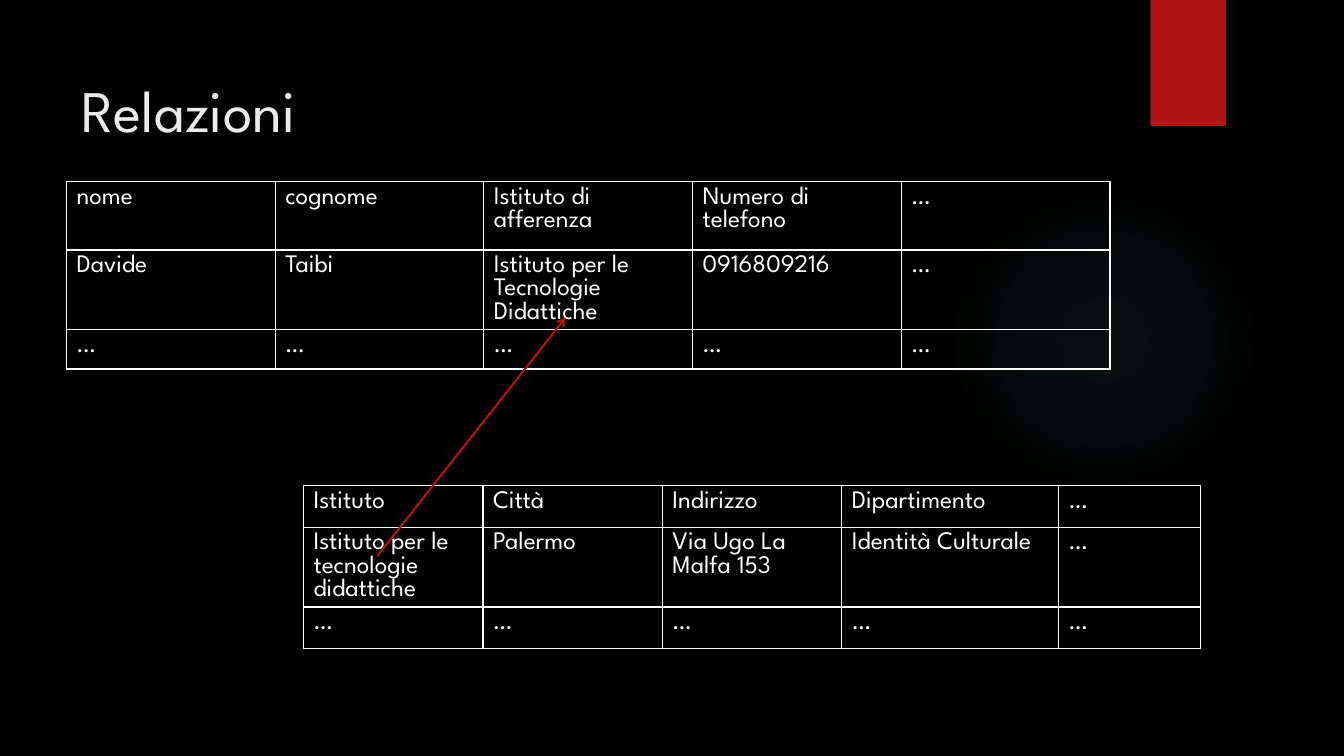
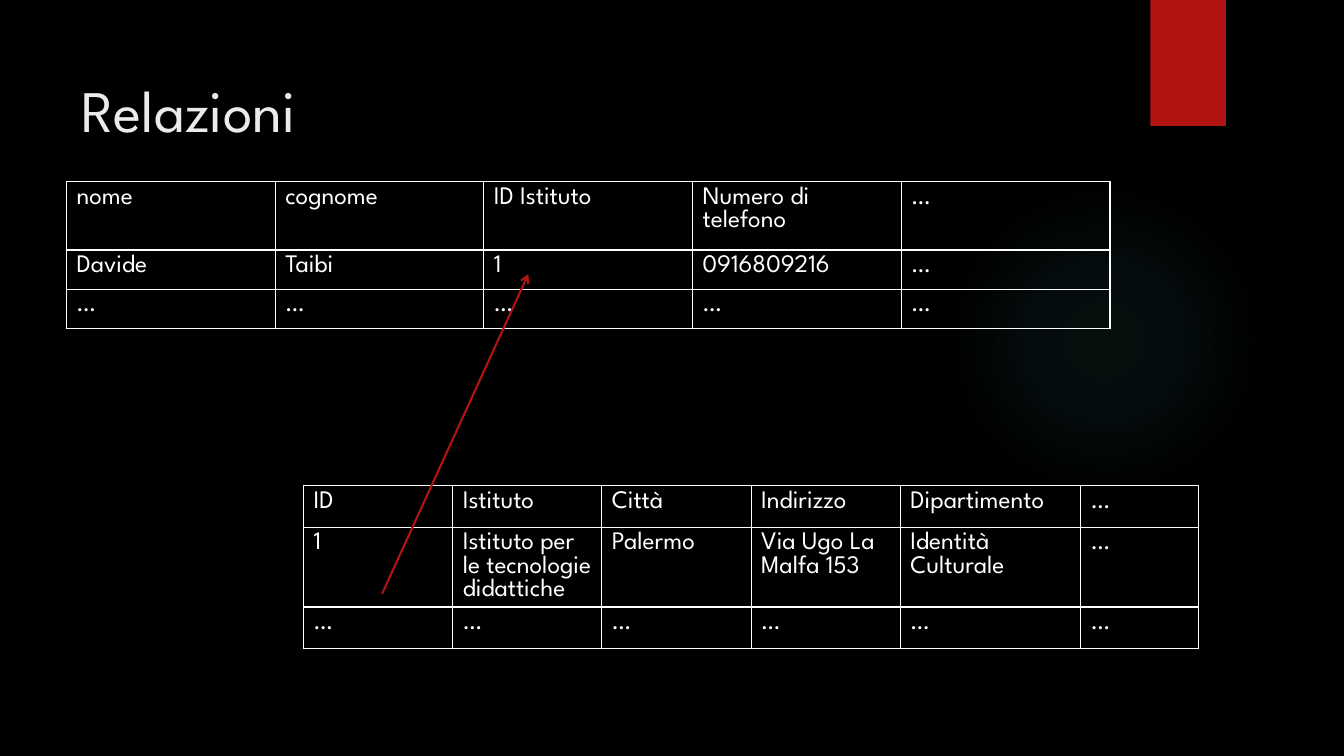
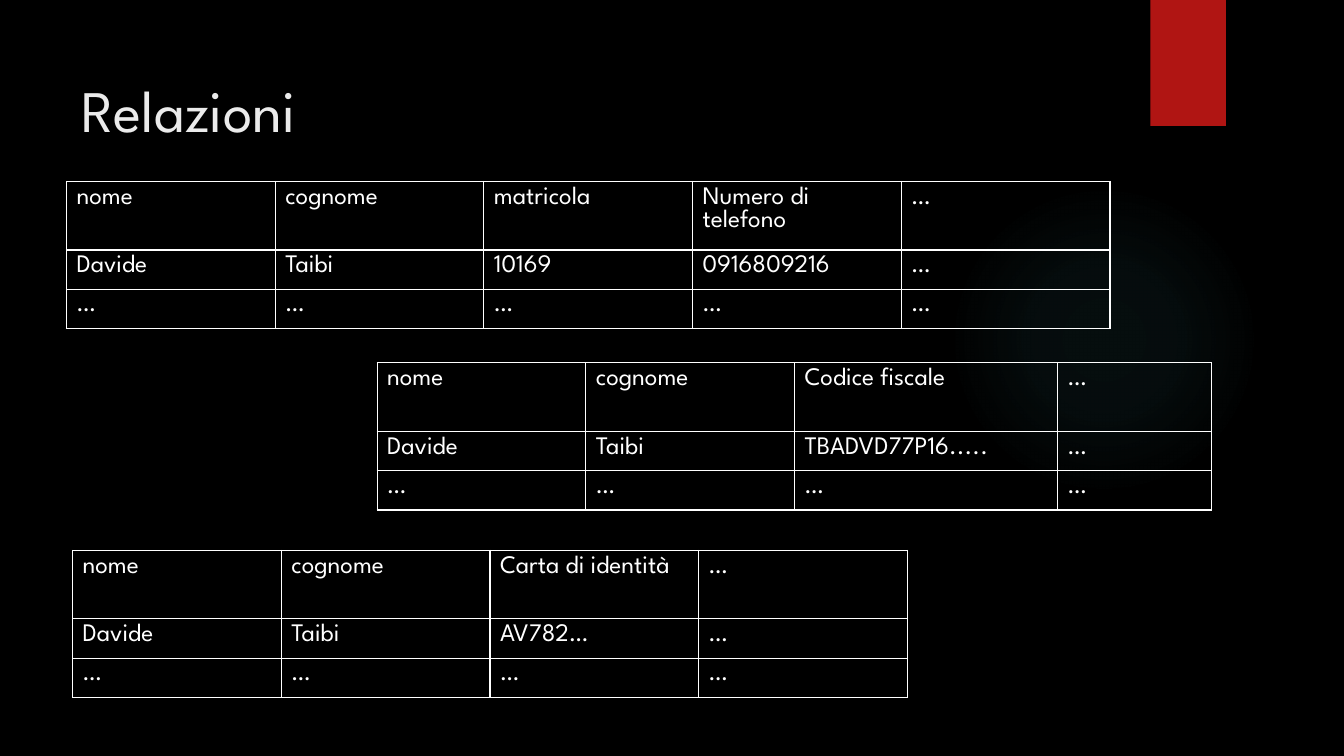
import pptx
import pptx.util
import pptx.dml.color
import pptx.enum.shapes
import pptx.enum.text
import pptx.oxml
from pptx.util import Inches

RGB = pptx.dml.color.RGBColor
BLACK = RGB(0x00, 0x00, 0x00)
WHITE = RGB(0xFF, 0xFF, 0xFF)
PALE = RGB(0xEB, 0xEB, 0xEB)
RED = RGB(0xB0, 0x15, 0x13)
TEAL = RGB(0x50, 0xB9, 0xC1)
FACE = "League Spartan"
HEAD = {"name": FACE, "size": pptx.util.Pt(42), "bold": False}
BODY = {"name": FACE, "size": pptx.util.Pt(18), "bold": False}
NS = 'xmlns:a="http://schemas.openxmlformats.org/drawingml/2006/main"'
DOTS = "…"

# Content: each table gets a closing column and a closing row of dots
TALL = (0.68, 0.39, 0.39)
EVEN = (0.41, 0.41, 0.41)
WIDE = 2.07


def staff(label, value):
    return {"at": (0.66, 1.8), "cols": [WIDE] * 5, "rows": TALL,
            "names": ["nome", "cognome", label, "Numero di telefono"],
            "values": ["Davide", "Taibi", value, "0916809216"]}


def card(at, cols, label, value):
    return {"at": at, "cols": cols, "rows": TALL,
            "names": ["nome", "cognome", label],
            "values": ["Davide", "Taibi", value]}


def site(cols, names=(), values=()):
    return {"at": (3.01, 4.82), "cols": cols, "rows": EVEN,
            "names": [*names, "Istituto", "Città", "Indirizzo", "Dipartimento"],
            "values": [*values, "Istituto per le tecnologie didattiche", "Palermo",
                       "Via Ugo La Malfa 153", "Identità Culturale"]}


SLIDES = [
    {"title": "Relazioni",
     "tables": [staff("Istituto di afferenza", "Istituto per le Tecnologie Didattiche"),
                site([1.78] * 3 + [2.15, 1.41])],
     "arrows": [(3.74, 5.52, 5.61, 3.15)]},
    {"title": "Relazioni",
     "tables": [staff("ID Istituto", "1"),
                site([1.48] * 4 + [1.79, 1.17], ["ID"], ["1"])],
     "arrows": [(3.79, 5.89, 5.24, 2.72)]},
    {"title": "Relazioni",
     "tables": [staff("matricola", "10169"),
                card((3.74, 3.6), [WIDE, WIDE, 2.61, 1.53],
                     "Codice fiscale", "TBADVD77P16....."),
                card((0.72, 5.46), [WIDE] * 4, "Carta di identità", "AV782…")],
     "arrows": []},
]


def style(font, form, color):
    for key, val in form.items():
        setattr(font, key, val)
    font.color.rgb = color


def xml(text):
    return pptx.oxml.parse_xml(text)


# Shared look: background, title place, glow and red band
def set_look(deck, layout):
    fill = deck.slide_master.background.fill
    fill.solid()
    fill.fore_color.rgb = BLACK
    for hold in list(layout.placeholders):
        if hold.placeholder_format.idx:
            hold.element.getparent().remove(hold.element)
    title = layout.placeholders[0]
    place = {"left": 0.71, "top": 0.5, "width": 10.29, "height": 1.53}
    for key, val in place.items():
        setattr(title, key, Inches(val))
    frame = title.text_frame
    frame.vertical_anchor = pptx.enum.text.MSO_ANCHOR.TOP
    frame.margin_top = Inches(0.23)


def add_decor(slide, layout):
    kind = pptx.enum.shapes.MSO_SHAPE
    parts = [(kind.OVAL, (9.41, 1.83, 3.08, 3.08)),
             (kind.RECTANGLE, (11.41, 0, 0.75, 1.25))]
    glow, band = [slide.shapes.add_shape(form, *map(Inches, box)) for form, box in parts]
    band.fill.solid()
    band.fill.fore_color.rgb = RED
    stops = "".join(
        f'<a:gs pos="{pos}000"><a:srgbClr val="{TEAL}"><a:alpha val="{alpha}000"/>'
        f'</a:srgbClr></a:gs>' for pos, alpha in [(0, 7), (36, 6), (69, 0)])
    geom = glow.element.spPr.find(pptx.oxml.ns.qn("a:prstGeom"))
    geom.addnext(xml(
        f'<a:gradFill {NS}><a:gsLst>{stops}</a:gsLst><a:path path="circle">'
        '<a:fillToRect l="50000" t="50000" r="50000" b="50000"/></a:path></a:gradFill>'))
    for spot, part in enumerate((glow, band), 2):
        part.line.fill.background()
        part.shadow.inherit = False
        layout.shapes.element.insert(spot, part.element)


# Tables
def add_grid(slide, data):
    cols, rows = data["cols"], data["rows"]
    lines = [data["names"] + [DOTS], data["values"] + [DOTS], [DOTS] * len(cols)]
    box = (*data["at"], sum(cols), sum(rows))
    grid = slide.shapes.add_table(len(rows), len(cols), *map(Inches, box)).table
    grid.first_row = grid.horz_banding = False
    for col, size in zip(grid.columns, cols):
        col.width = Inches(size)
    for row, size, line in zip(grid.rows, rows, lines):
        row.height = Inches(size)
        for cell, text in zip(row.cells, line):
            fill_cell(cell, text)


def fill_cell(cell, text):
    cell.text = text
    style(cell.text_frame.paragraphs[0].runs[0].font, BODY, WHITE)
    cell.fill.background()
    props = cell.fill._xPr
    for spot, side in enumerate("LRTB"):
        props.insert(spot, xml(
            f'<a:ln{side} {NS} w="12700"><a:solidFill><a:srgbClr val="{WHITE}"/>'
            f'</a:solidFill></a:ln{side}>'))


# Arrows
def add_arrow(slide, ends):
    kind = pptx.enum.shapes.MSO_CONNECTOR.STRAIGHT
    arrow = slide.shapes.add_connector(kind, *map(Inches, ends))
    arrow.line.color.rgb = RED
    arrow.line.width = pptx.util.Pt(1.5)
    arrow.line._ln.append(xml(f'<a:tailEnd {NS} type="arrow"/>'))
    arrow.element.spPr.append(xml(f'<a:effectLst {NS}/>'))


def main():
    deck = pptx.Presentation()
    deck.slide_width, deck.slide_height = Inches(13.33), Inches(7.5)
    layout = deck.slide_layouts[5]
    set_look(deck, layout)
    for page, data in enumerate(SLIDES):
        slide = deck.slides.add_slide(layout)
        if page == 0:
            add_decor(slide, layout)
        title = slide.shapes.title
        title.text = data["title"]
        para = title.text_frame.paragraphs[0]
        para.alignment = pptx.enum.text.PP_ALIGN.LEFT
        style(para.runs[0].font, HEAD, PALE)
        for table in data["tables"]:
            add_grid(slide, table)
        for ends in data["arrows"]:
            add_arrow(slide, ends)
    deck.save("out.pptx")


if __name__ == "__main__":
    main()
